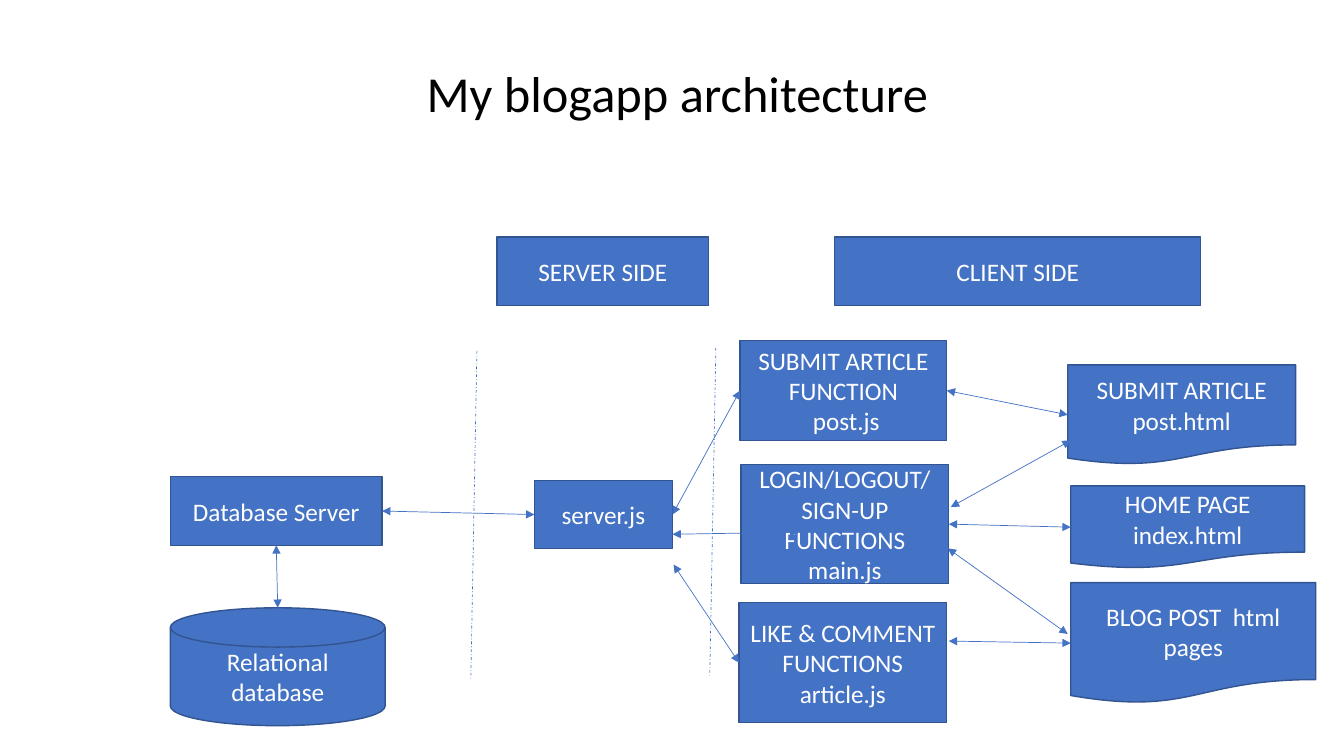
import pptx
import pptx.util
import pptx.dml.color
import pptx.enum.dml
import pptx.enum.shapes
import pptx.enum.text
import pptx.oxml.ns
import lxml.etree

Inches = pptx.util.Inches
Kind = pptx.enum.shapes.MSO_SHAPE
LEFT, BOTTOM, RIGHT = 1, 2, 3
FONT = "Calibri"
HUES = {"fill": "4472C4", "edge": "325491", "text": "FFFFFF", "title": "000000"}


def color(name):
    return pptx.dml.color.RGBColor.from_string(HUES[name])


def style(frame, size, hue):
    for para in frame.paragraphs:
        para.alignment = pptx.enum.text.PP_ALIGN.CENTER
        for run in para.runs:
            run.font.name = FONT
            run.font.size = pptx.util.Pt(size)
            run.font.color.rgb = color(hue)


def node(slide, kind, text, x, y, w, h):
    shape = slide.shapes.add_shape(kind, Inches(x), Inches(y), Inches(w), Inches(h))
    shape.shadow.inherit = False
    shape.fill.solid()
    shape.fill.fore_color.rgb = color("fill")
    shape.line.color.rgb = color("edge")
    shape.line.width = pptx.util.Pt(1)
    frame = shape.text_frame
    frame.word_wrap = True
    frame.vertical_anchor = pptx.enum.text.MSO_ANCHOR.MIDDLE
    frame.text = text
    style(frame, 18, "text")
    return shape


def line(slide, start, end):
    points = [Inches(value) for value in start + end]
    link = slide.shapes.add_connector(pptx.enum.shapes.MSO_CONNECTOR.STRAIGHT, *points)
    link.line.color.rgb = color("fill")
    link.line.width = pptx.util.Pt(0.5)
    props = link.line._get_or_add_ln().getparent()
    lxml.etree.SubElement(props, pptx.oxml.ns.qn("a:effectLst"))
    return link


def split(slide, start, end):
    line(slide, start, end).line.dash_style = pptx.enum.dml.MSO_LINE.DASH_DOT


def arrow(slide, start, end):
    glued = [isinstance(stop[0], float) is False for stop in (start, end)]
    spots = [(0, 0) if glue else stop for glue, stop in zip(glued, (start, end))]
    link = line(slide, *spots)
    if glued[0]:
        link.begin_connect(*start)
    if glued[1]:
        link.end_connect(*end)
    stroke = link.line._get_or_add_ln()
    for tag in ("a:headEnd", "a:tailEnd"):
        lxml.etree.SubElement(stroke, pptx.oxml.ns.qn(tag), type="triangle")


def title(slide, x, y, w, h):
    shape = slide.shapes.title
    shape.left, shape.top = Inches(x), Inches(y)
    shape.width, shape.height = Inches(w), Inches(h)
    frame = shape.text_frame
    frame.text = "My blogapp architecture"
    frame.word_wrap = True
    frame.auto_size = pptx.enum.text.MSO_AUTO_SIZE.NONE
    frame.vertical_anchor = pptx.enum.text.MSO_ANCHOR.BOTTOM
    frame.paragraphs[0].line_spacing = 0.9
    style(frame, 36, "title")


def header(slide, x, y, w, h):
    node(slide, Kind.RECTANGLE, "SERVER SIDE", x, y, 2.1, h)
    node(slide, Kind.RECTANGLE, "CLIENT SIDE", x + w - 3.63, y, 3.63, h)


def data(slide, x, y, w, h):
    host = node(slide, Kind.RECTANGLE, "Database Server", x, y, 2.1, 0.68)
    node(slide, Kind.FLOWCHART_MAGNETIC_DISK, "Relational database",
         x, y + h - 1.17, w, 1.17)
    arrow(slide, (x + w / 2, y + h - 1.17), (host, BOTTOM))
    return host


def stack(slide, kind, items, x, y):
    return [node(slide, kind, text, x + dx, y + dy, w, h)
            for text, dx, dy, w, h in items]


def scripts(slide, x, y):
    items = [
        ("SUBMIT ARTICLE FUNCTION\n post.js", 0.01, 0, 2.05, 0.99),
        ("LOGIN/LOGOUT/SIGN-UP FUNCTIONS main.js", 0.02, 1.23, 2.06, 1.18),
        ("LIKE & COMMENT FUNCTIONS article.js", 0, 2.6, 2.06, 1.19),
    ]
    return stack(slide, Kind.FLOWCHART_PROCESS, items, x, y)


def pages(slide, x, y):
    items = [
        ("SUBMIT ARTICLE post.html", 0, 0, 2.26, 0.99),
        ("HOME PAGE\nindex.html", 0.03, 1.2, 2.32, 0.82),
        ("BLOG POST  html pages", 0.03, 2.16, 2.43, 1.2),
    ]
    return stack(slide, Kind.FLOWCHART_DOCUMENT, items, x, y)


def build():
    deck = pptx.Presentation()
    deck.slide_width, deck.slide_height = Inches(13.33), Inches(7.5)
    slide = deck.slides.add_slide(deck.slide_layouts[5])
    title(slide, 1.72, 0.59, 10, 0.68)
    header(slide, 4.93, 2.35, 6.98, 0.68)
    host = data(slide, 1.69, 4.73, 2.13, 2.47)
    server = node(slide, Kind.FLOWCHART_PROCESS, "server.js", 5.3, 4.77, 1.37, 0.67)
    post, main, like = scripts(slide, 7.33, 3.38)
    submit, home, blog = pages(slide, 10.59, 3.62)
    links = [
        ((post, LEFT), (server, RIGHT)),
        ((7.92, 5.28), (6.67, 5.3)),
        ((server, LEFT), (host, RIGHT)),
        ((like, LEFT), (6.68, 5.6)),
        ((submit, LEFT), (post, RIGHT)),
        ((blog, LEFT), (9.41, 6.36)),
        ((home, LEFT), (main, RIGHT)),
        ((10.59, 6.29), (9.4, 5.44)),
        ((10.62, 4.37), (9.43, 5.03)),
    ]
    for start, end in links:
        arrow(slide, start, end)
    for x, y in ((7.1, 3.45), (4.73, 3.48)):
        split(slide, (x, y), (x - 0.06, y + 3.25))
    deck.save("out.pptx")


build()
